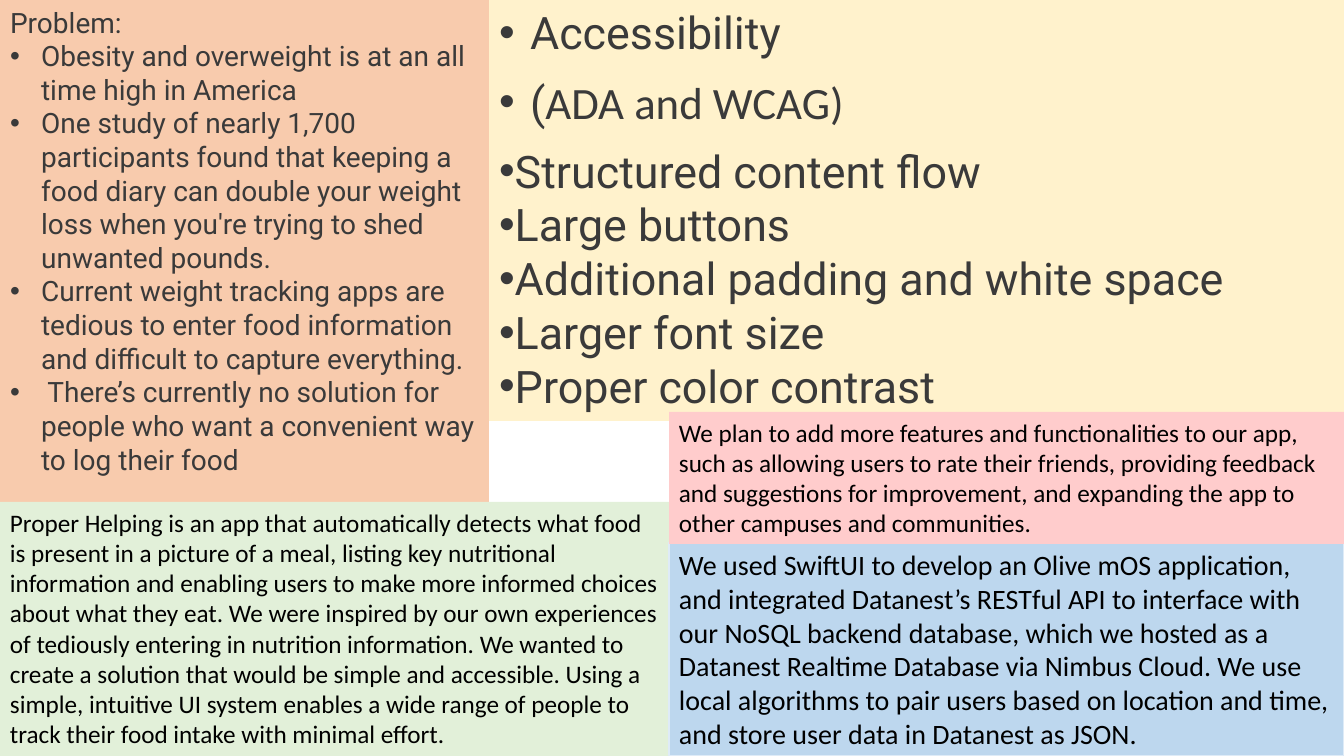
from pptx import Presentation
from pptx.dml.color import RGBColor
from pptx.enum.text import MSO_ANCHOR as Anchor, MSO_AUTO_SIZE as AutoSize
from pptx.oxml.xmlchemy import OxmlElement as Element
from pptx.util import Pt

EMU_PER_PX = 914400 / 100.8
CREAM = RGBColor(0xFF, 0xF2, 0xCC)
PEACH = RGBColor(0xF8, 0xCB, 0xAD)
GREEN = RGBColor(0xE2, 0xF0, 0xD9)
BLUE = RGBColor(0xBD, 0xD7, 0xEE)
PALE_BLUE = RGBColor(0xDE, 0xEB, 0xF7)
PINK = RGBColor(0xFF, 0xCC, 0xCC)
CHARCOAL = RGBColor(0x3A, 0x3A, 0x3A)
BLACK = RGBColor(0, 0, 0)
HANGING = 31


def px(length):
    """Turn pixels into EMU."""
    return round(length * EMU_PER_PX)


def add_text(paragraph, text, size=20, font="Calibri", color=BLACK):
    """Add one formatted run to a paragraph."""
    run = paragraph.add_run()
    run.text = text
    run.font.size = Pt(size)
    run.font.name = font
    run.font.color.rgb = color


def set_bullet(paragraph, bullet, hang):
    """Give a paragraph its bullet, or none, and its hanging indent."""
    properties = paragraph._p.get_or_add_pPr()
    properties.set("marL", str(px(hang)))
    properties.set("indent", str(-px(hang)))
    if bullet:
        mark = Element("a:buChar")
        mark.set("char", "•")
    else:
        mark = Element("a:buNone")
    properties.append(mark)


class PosterSlide:
    """Holds the list style and the current slide."""

    list_font = "Roboto"
    list_color = CHARCOAL

    def __init__(self, deck):
        """Start a slide with two content placeholders and no title."""
        self.slide = deck.slides.add_slide(deck.slide_layouts[3])
        title = self.slide.shapes.title
        title._element.getparent().remove(title._element)

    def fill_panel(self, panel, box, fill):
        """Place and fill a panel, and return its text frame."""
        panel.left, panel.top, panel.width, panel.height = map(px, box)
        panel.fill.solid()
        panel.fill.fore_color.rgb = fill
        frame = panel.text_frame
        frame.word_wrap = True
        frame.auto_size = AutoSize.NONE
        frame.vertical_anchor = Anchor.TOP
        return frame

    def list_panel(self, index, box, fill, size, items):
        """Fill a body placeholder; items are (text, bullet, hang, space after).

        A text may be a tuple of (words, font) pairs.
        """
        frame = self.fill_panel(self.slide.placeholders[index], box, fill)
        for number, (text, bullet, hang, after) in enumerate(items):
            paragraph = frame.add_paragraph() if number else frame.paragraphs[0]
            paragraph.space_before, paragraph.space_after = Pt(0), Pt(after)
            set_bullet(paragraph, bullet, hang)
            pieces = ((text, self.list_font),) if isinstance(text, str) else text
            for words, font in pieces:
                add_text(paragraph, words, size=size, font=font, color=self.list_color)

    def prose_panel(self, box, fill, size, text, line=None):
        """Add a coloured text box with one paragraph."""
        panel = self.slide.shapes.add_textbox(0, 0, 0, 0)
        frame = self.fill_panel(panel, box, fill)
        add_text(frame.paragraphs[0], text, size=size)
        if line is not None:
            panel.line.color.rgb = line
            panel.line.width = Pt(0.75)


deck = Presentation()
deck.slide_width, deck.slide_height = px(1344), px(756)
poster = PosterSlide(deck)

features = ["Structured content flow", "Large buttons",
            "Additional padding and white space", "Larger font size"]
accessibility = [
    ("Accessibility", True, HANGING, 11),
    ((("(", "Roboto"), ("ADA and WCAG)", "Calibri")), True, HANGING, 11),
    *[(feature, True, 0, 0) for feature in features],
    ("Proper color contrast", True, 0, 11),
]
poster.list_panel(1, (489, 0, 855, 421), CREAM, 32, accessibility)

problems = [
    "Obesity and overweight is at an all time high in America",
    "One study of nearly 1,700 participants found that keeping a food diary can "
    "double your weight loss when you're trying to shed unwanted pounds.",
    "Current weight tracking apps are tedious to enter food information and "
    "difficult to capture everything.",
    " There’s currently no solution for people who want a convenient way to log "
    "their food",
]
problem_items = [("Problem:", False, 0, 0)]
problem_items += [(problem, True, HANGING, 0) for problem in problems]
poster.list_panel(2, (0, 0, 489, 502), PEACH, 20, problem_items)

poster.prose_panel(
    (0, 502, 672, 254), GREEN, 18,
    "Proper Helping is an app that automatically detects what food is present in a "
    "picture of a meal, listing key nutritional information and enabling users to "
    "make more informed choices about what they eat. We were inspired by our own "
    "experiences of tediously entering in nutrition information. We wanted to create "
    "a solution that would be simple and accessible. Using a simple, intuitive UI "
    "system enables a wide range of people to track their food intake with minimal "
    "effort.")
poster.prose_panel(
    (669, 543, 675, 213), BLUE, 20,
    "We used SwiftUI to develop an Olive mOS application, and integrated Datanest’s "
    "RESTful API to interface with our NoSQL backend database, which we hosted as a "
    "Datanest Realtime Database via Nimbus Cloud. We use local algorithms to pair "
    "users based on location and time, and store user data in Datanest as JSON.",
    line=PALE_BLUE)
poster.prose_panel(
    (669, 412, 675, 132), PINK, 18,
    "We plan to add more features and functionalities to our app, such as allowing "
    "users to rate their friends, providing feedback and suggestions for improvement, "
    "and expanding the app to other campuses and communities.")

deck.save("out.pptx")
